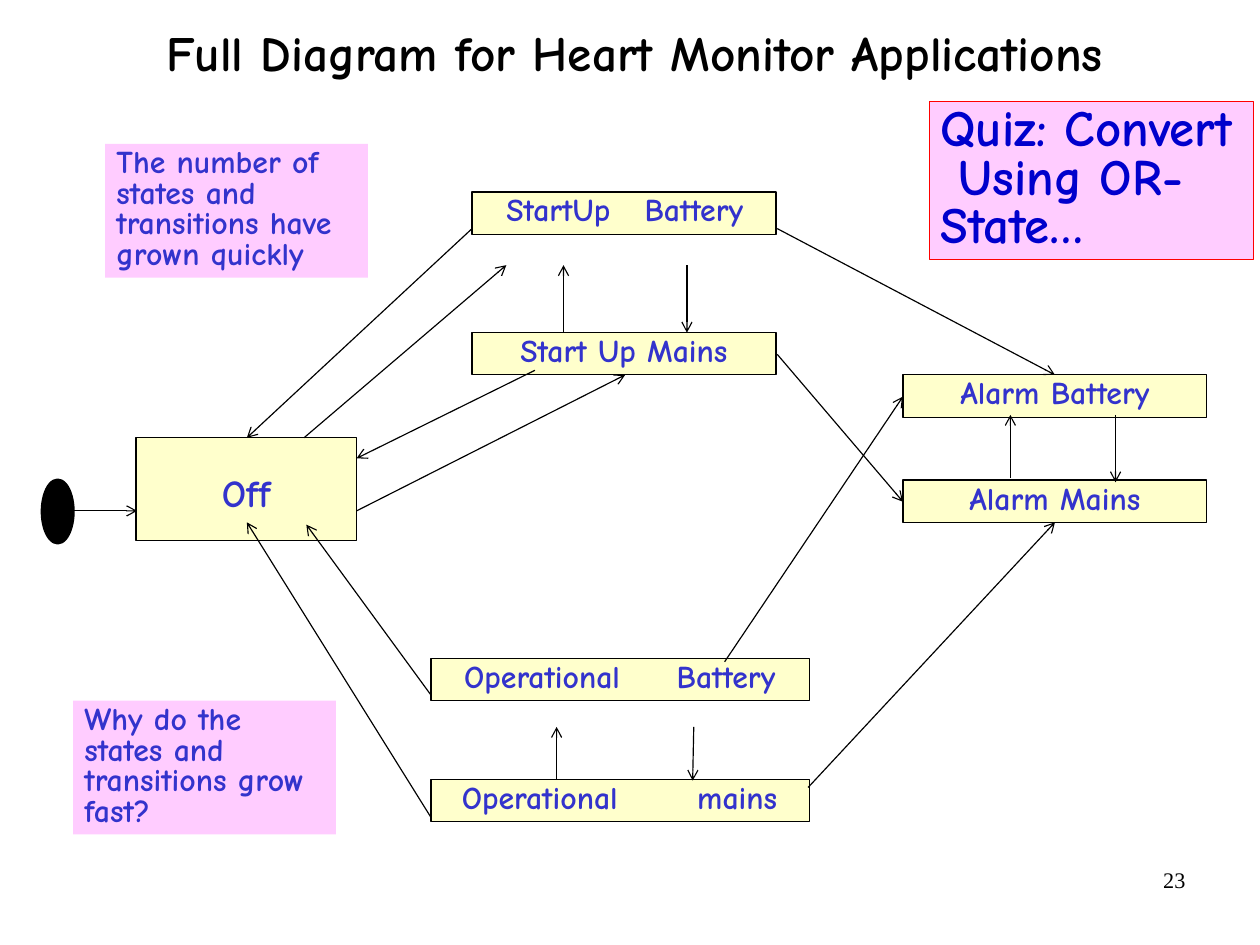
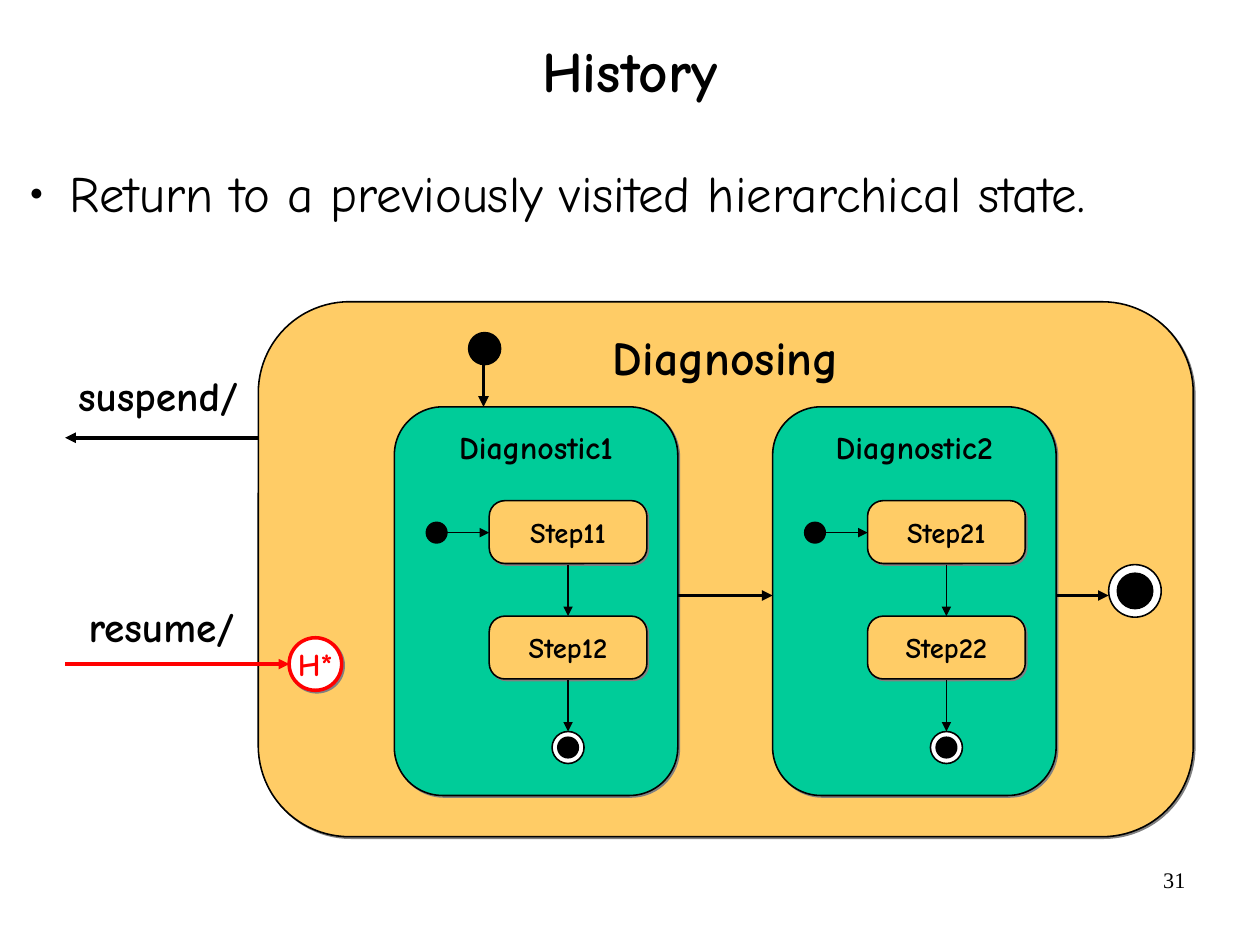
from dataclasses import dataclass

from lxml.etree import SubElement
from pptx import Presentation
from pptx.dml.color import RGBColor
from pptx.enum.shapes import MSO_CONNECTOR, MSO_SHAPE
from pptx.enum.text import MSO_ANCHOR, MSO_AUTO_SIZE, PP_ALIGN
from pptx.oxml.ns import qn
from pptx.util import Inches, Pt

BLACK = RGBColor(0x00, 0x00, 0x00)
WHITE = RGBColor(0xFF, 0xFF, 0xFF)
RED = RGBColor(0xFF, 0x00, 0x00)
INDIGO = RGBColor(0x33, 0x33, 0xCC)
BLUE = RGBColor(0x00, 0x00, 0xCC)
CREAM = RGBColor(0xFF, 0xFF, 0xCC)
PINK = RGBColor(0xFF, 0xCC, 0xFF)
AMBER = RGBColor(0xFF, 0xCC, 0x66)
GREEN = RGBColor(0x00, 0xCC, 0x99)
GREY = RGBColor(0x80, 0x80, 0x80)

COMIC = "Comic Neue"
TIMES = "Times New Roman"
PAD = (0.1, 0.05, 0.1, 0.05)
WIDE = (0.11, 0.06, 0.11, 0.06)
BARE = (0, 0, 0, 0)


@dataclass(frozen=True)
class Box:
    x: float
    y: float
    w: float
    h: float


@dataclass(frozen=True)
class State:
    box: Box
    text: str
    left: float = 0.1
    tab: float = 0


@dataclass(frozen=True)
class Note:
    box: Box
    text: str
    size: float = 20
    ink: RGBColor = INDIGO
    edge: RGBColor | None = None


@dataclass(frozen=True)
class Link:
    x1: float
    y1: float
    x2: float
    y2: float


BARS = (
    State(Box(3.77, 5.76, 3.31, 0.37), "Operational\tBattery", 0.29, 1.86),
    State(Box(3.77, 6.82, 3.31, 0.37), "Operational\tmains", 0.27, 2.06),
    State(Box(4.13, 1.68, 2.66, 0.37), "StartUp\tBattery", 0.3, 1.21),
    State(Box(4.13, 2.91, 2.66, 0.37), "Start Up Mains"),
    State(Box(7.9, 3.28, 2.66, 0.37), "Alarm Battery"),
    State(Box(7.9, 4.2, 2.66, 0.37), "Alarm Mains"),
)
NOTES = (
    Note(Box(0.92, 1.26, 2.3, 1.17), "The number of states and transitions have grown quickly"),
    Note(Box(0.64, 6.13, 2.3, 1.17), "Why do the states and transitions grow fast?"),
    Note(Box(8.13, 0.89, 2.84, 1.38), "Quiz: Convert\v Using OR-State…", 32, BLUE, RED),
)
LINKS = (
    Link(6.01, 2.32, 6.01, 2.91),
    Link(4.93, 2.91, 4.93, 2.32),
    Link(6.07, 6.36, 6.06, 6.83),
    Link(4.87, 6.82, 4.87, 6.36),
    Link(9.76, 3.63, 9.76, 4.22),
    Link(8.84, 4.18, 8.84, 3.63),
    Link(4.13, 2, 2.16, 3.83),
    Link(4.68, 3.24, 3.12, 4.01),
    Link(3.77, 6.08, 2.68, 4.59),
    Link(3.77, 7.15, 2.16, 4.57),
    Link(2.66, 3.83, 4.43, 2.32),
    Link(3.12, 4.47, 5.47, 3.28),
    Link(6.8, 2, 9.23, 3.28),
    Link(6.8, 3.1, 7.9, 4.39),
    Link(6.34, 5.79, 7.9, 3.47),
    Link(7.07, 6.89, 9.23, 4.57),
    Link(0.64, 4.47, 1.2, 4.47),
)


def write(shape, text: str, *, size: float = 20, ink: RGBColor = BLACK, font: str = COMIC,
          bold: bool = True, align=PP_ALIGN.CENTER, anchor=MSO_ANCHOR.MIDDLE,
          pad: tuple = WIDE, wrap: bool = False, lead: float = 1,
          tab: float = 0, dot: bool = False) -> None:
    frame = shape.text_frame
    frame.auto_size = MSO_AUTO_SIZE.NONE
    frame.word_wrap = wrap
    frame.vertical_anchor = anchor
    (frame.margin_left, frame.margin_top,
     frame.margin_right, frame.margin_bottom) = map(Inches, pad)
    para = frame.paragraphs[0]
    para.text = text
    props = para._p.get_or_add_pPr()
    if dot:
        props.set("marL", str(Inches(0.46)))
        props.set("indent", str(Inches(-0.35)))
        tint = SubElement(props, qn("a:buClr"))
        SubElement(tint, qn("a:srgbClr"), val=str(ink))
        SubElement(props, qn("a:buSzPct"), val="45000")
        SubElement(props, qn("a:buFont"), typeface=TIMES)
        SubElement(props, qn("a:buChar"), char="●")
    if tab:
        stops = SubElement(props, qn("a:tabLst"))
        SubElement(stops, qn("a:tab"), pos=str(Inches(tab)), algn="l")
    para.alignment = align
    para.line_spacing = lead
    para.space_before = Pt(0)
    for run in para.runs:
        run.font.size = Pt(size)
        run.font.name = font
        run.font.bold = bold
        run.font.color.rgb = ink


def place(box: Box) -> tuple:
    return Inches(box.x), Inches(box.y), Inches(box.w), Inches(box.h)


def draw(slide, kind, box: Box, fill: RGBColor, edge: RGBColor | None = BLACK,
         width: float = 1, shade: bool = False, bend: float | None = None):
    shape = slide.shapes.add_shape(kind, *place(box))
    if bend is not None:
        shape.adjustments[0] = bend
    shape.fill.solid()
    shape.fill.fore_color.rgb = fill
    if edge is None:
        shape.line.fill.background()
    else:
        shape.line.color.rgb = edge
        shape.line.width = Pt(width)
    shape.shadow.inherit = False
    if shade:
        group = shape._element.spPr.find(qn("a:effectLst"))
        cast = SubElement(group, qn("a:outerShdw"), dist=str(Pt(1.4)), dir="2700000",
                          algn="ctr", rotWithShape="0")
        SubElement(cast, qn("a:srgbClr"), val=str(GREY))
    return shape


def join(slide, link: Link, width: float = 1, ink: RGBColor = BLACK,
         head: str = "triangle") -> None:
    ends = map(Inches, (link.x1, link.y1, link.x2, link.y2))
    line = slide.shapes.add_connector(MSO_CONNECTOR.STRAIGHT, *ends)
    line.line.color.rgb = ink
    line.line.width = Pt(width)
    props = line._element.spPr
    SubElement(props.find(qn("a:ln")), qn("a:tailEnd"), type=head)
    SubElement(props, qn("a:effectLst"))


def label(slide, box: Box, text: str, **form) -> None:
    write(slide.shapes.add_textbox(*place(box)), text, **form)


def disc(slide, x: float, y: float, size: float, fill: RGBColor = BLACK) -> None:
    draw(slide, MSO_SHAPE.OVAL, Box(x - size / 2, y - size / 2, size, size), fill)


def goal(slide, x: float, y: float, outer: float, inner: float) -> None:
    disc(slide, x, y, outer, WHITE)
    disc(slide, x, y, inner)


def start(deck, title: str, box: Box, size: float, page: int):
    slide = deck.slides.add_slide(deck.slide_layouts[5])
    head = slide.shapes.title
    head.left, head.top, head.width, head.height = place(box)
    write(head, title, size=size, pad=BARE, wrap=True, lead=0.88)
    label(slide, Box(7.9, 7.53, 2.57, 0.57), str(page), size=14, font=TIMES, bold=False,
          align=PP_ALIGN.RIGHT, anchor=MSO_ANCHOR.TOP, pad=PAD, wrap=True)
    return slide


def heart(deck) -> None:
    slide = start(deck, "Full Diagram for Heart Monitor Applications",
                  Box(0.85, -0.2, 9.4, 1.37), 31, 23)
    for bar in BARS:
        shape = draw(slide, MSO_SHAPE.RECTANGLE, bar.box, CREAM, width=0.75)
        write(shape, bar.text, ink=INDIGO, anchor=MSO_ANCHOR.TOP, lead=0.8, wrap=True,
              pad=(bar.left, 0.05, 0.1, 0.05), tab=bar.tab,
              align=PP_ALIGN.LEFT if bar.tab else PP_ALIGN.CENTER)
    off = draw(slide, MSO_SHAPE.RECTANGLE, Box(1.19, 3.83, 1.93, 0.9), CREAM, width=0.75)
    write(off, "Off", size=24, ink=INDIGO, pad=(0.1, 0.1, 0.1, 0.05))
    draw(slide, MSO_SHAPE.OVAL, Box(0.37, 4.2, 0.27, 0.55), BLACK, width=2)
    for link in LINKS:
        join(slide, link, 0.75, head="arrow")
    for note in NOTES:
        shape = draw(slide, MSO_SHAPE.RECTANGLE, note.box, PINK, note.edge, 0.75)
        write(shape, note.text, size=note.size, ink=note.ink, align=PP_ALIGN.LEFT,
              anchor=MSO_ANCHOR.TOP, pad=PAD, wrap=True, lead=0.8)


def stage(slide, index: int) -> None:
    x = 3.45 + 3.31 * (index - 1)
    mid = x + 1.52
    panel = draw(slide, MSO_SHAPE.ROUNDED_RECTANGLE, Box(x, 3.56, 2.48, 3.4), GREEN,
                 shade=True, bend=0.17)
    write(panel, f"Diagnostic{index}", anchor=MSO_ANCHOR.TOP)
    for step in (1, 2):
        y = 4.38 + 1.01 * (step - 1)
        card = draw(slide, MSO_SHAPE.ROUNDED_RECTANGLE, Box(x + 0.83, y, 1.38, 0.55),
                    AMBER, shade=True, bend=0.25)
        write(card, f"Step{index}{step}", size=18)
        join(slide, Link(mid, y + 0.56, mid, y + 1.01))
    goal(slide, mid, 6.54, 0.28, 0.18)
    disc(slide, x + 0.37, 4.66, 0.18)
    join(slide, Link(x + 0.46, 4.66, x + 0.83, 4.66))


def past(deck) -> None:
    slide = start(deck, "History", Box(0.81, 0.11, 9.4, 1.08), 36, 31)
    label(slide, Box(0.15, 1.31, 10.87, 6.25),
          "Return to a previously visited hierarchical state.", size=32, bold=False,
          align=PP_ALIGN.LEFT, anchor=MSO_ANCHOR.TOP, pad=BARE, wrap=True,
          lead=1.2, dot=True)
    whole = draw(slide, MSO_SHAPE.ROUNDED_RECTANGLE, Box(2.26, 2.64, 8.18, 4.68), AMBER,
                 shade=True, bend=0.17)
    write(whole, "Diagnosing", size=30, anchor=MSO_ANCHOR.TOP, pad=(0.11, 0, 0.11, 0.06))
    for index in (1, 2):
        stage(slide, index)
    goal(slide, 9.93, 5.17, 0.46, 0.31)
    disc(slide, 4.24, 3.05, 0.28)
    for link in (Link(2.26, 3.83, 0.57, 3.83), Link(4.23, 3.19, 4.23, 3.56),
                 Link(5.93, 5.21, 6.76, 5.21), Link(9.24, 5.21, 9.7, 5.21)):
        join(slide, link, 2.25)
    join(slide, Link(0.57, 5.81, 2.53, 5.81), 2.25, RED)
    label(slide, Box(0.57, 3.19, 1.63, 0.54), "suspend/", size=26)
    label(slide, Box(0.66, 5.21, 1.51, 0.54), "resume/", size=26)
    mark = draw(slide, MSO_SHAPE.OVAL, Box(2.53, 5.58, 0.46, 0.46), WHITE, RED, 2.25, True)
    write(mark, "H*", ink=RED)


def main() -> None:
    deck = Presentation()
    deck.slide_width = Inches(28 / 2.54)
    deck.slide_height = Inches(21 / 2.54)
    heart(deck)
    past(deck)
    deck.save("out.pptx")


if __name__ == "__main__":
    main()
